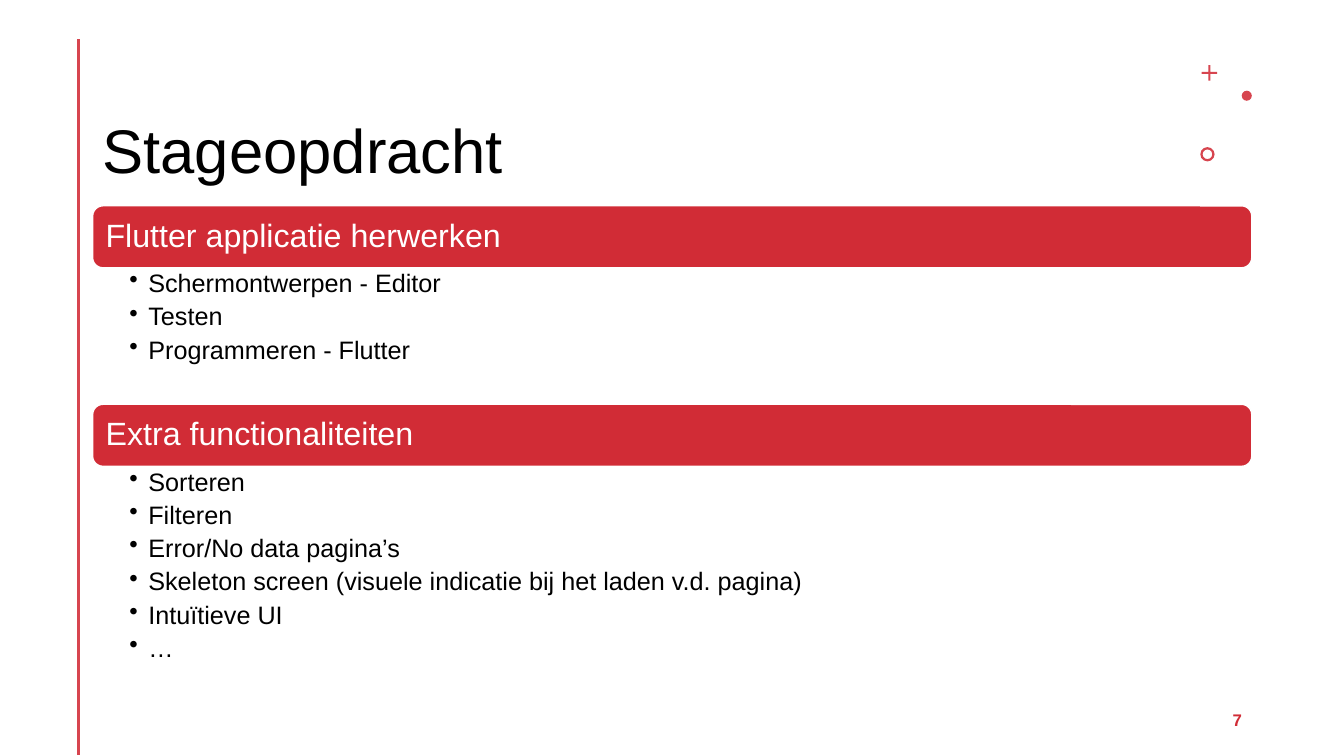
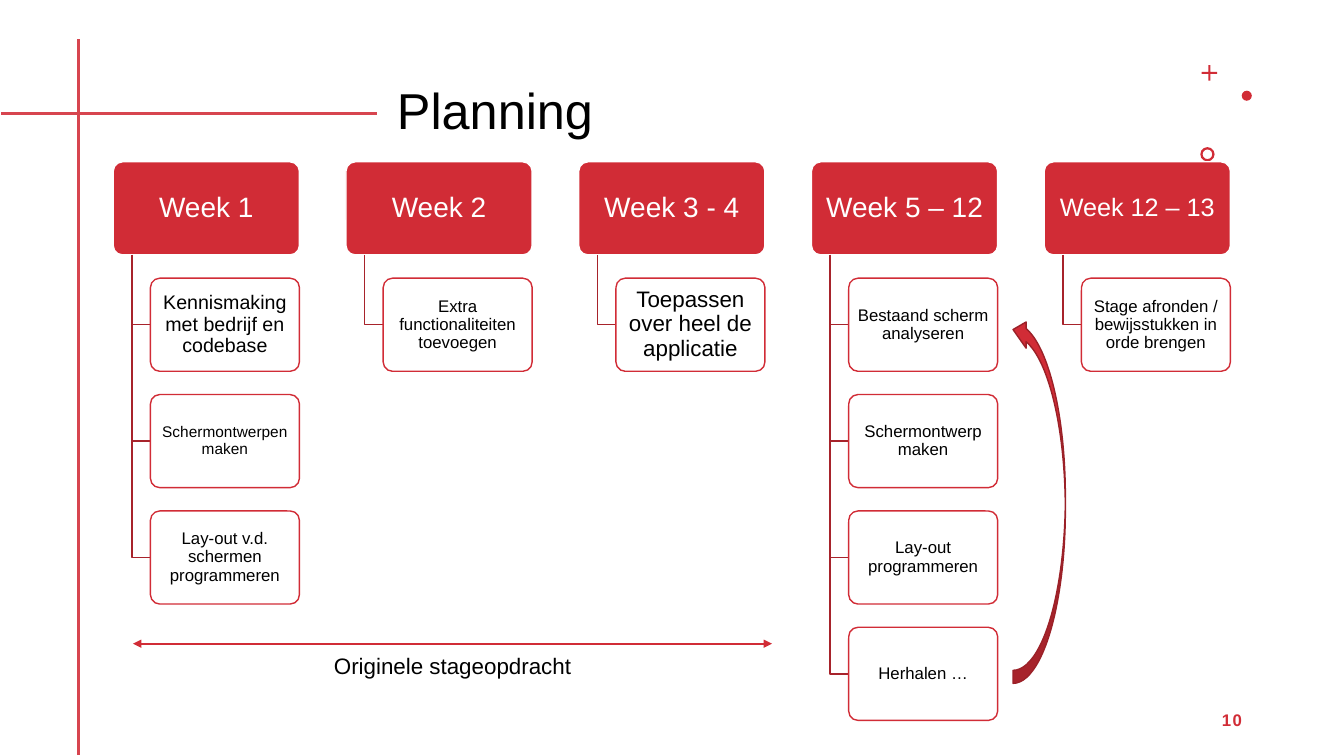
from lxml.etree import SubElement
from pptx import Presentation
from pptx.dml.color import RGBColor
from pptx.enum.shapes import MSO_CONNECTOR, MSO_SHAPE
from pptx.enum.text import MSO_ANCHOR, PP_ALIGN
from pptx.oxml.ns import qn
from pptx.util import Pt

RED = RGBColor(0xD1, 0x2C, 0x36)
SOFT_RED = RGBColor(0xD7, 0x45, 0x4F)
BRANCH_RED = RGBColor(0xA7, 0x23, 0x2B)
EDGE_RED = RGBColor(0x9B, 0x21, 0x28)
WHITE = RGBColor(0xFF, 0xFF, 0xFF)
BLACK = RGBColor(0x00, 0x00, 0x00)
FONT = "Arial"

TOPICS = [
    (147, 97, "Flutter applicatie herwerken",
     ["Schermontwerpen - Editor", "Testen", "Programmeren - Flutter"]),
    (288.8, 150, "Extra functionaliteiten",
     ["Sorteren", "Filteren", "Error/No data pagina’s",
      "Skeleton screen (visuele indicatie bij het laden v.d. pagina)",
      "Intuïtieve UI", "…"]),
]

WEEKS = [
    ("Week 1", 20, [("Kennismaking met bedrijf en codebase", 14),
                    ("Schermontwerpen maken", 11),
                    ("Lay-out v.d. schermen programmeren", 12)]),
    ("Week 2", 20, [("Extra functionaliteiten toevoegen", 12)]),
    ("Week 3 - 4", 20, [("Toepassen over heel de applicatie", 16)]),
    ("Week 5 – 12", 20, [("Bestaand scherm analyseren", 12),
                         ("Schermontwerp maken", 12),
                         ("Lay-out programmeren", 12),
                         ("Herhalen …", 12)]),
    ("Week 12 – 13", 18, [("Stage afronden / bewijsstukken in orde brengen", 12)]),
]


def apply(target, formats):
    """Set each attribute of the target from a dict of format values."""
    for name, value in formats.items():
        setattr(target, name, value)


def write(shape, lines, size, color=BLACK, frame=None, paragraph=None, font=None):
    """Write one paragraph per line with shared formats."""
    text = shape.text_frame
    apply(text, {"word_wrap": True, "vertical_anchor": MSO_ANCHOR.MIDDLE, **(frame or {})})
    text.text = "\n".join(lines)
    for line in text.paragraphs:
        apply(line, {"alignment": PP_ALIGN.LEFT, "line_spacing": 0.9, **(paragraph or {})})
        for run in line.runs:
            apply(run.font, {"name": FONT, "size": Pt(size), **(font or {})})
            run.font.color.rgb = color
    return text


def margins(left, top, right, bottom):
    """Return text frame margins in points as a format dict."""
    return {"margin_left": Pt(left), "margin_top": Pt(top),
            "margin_right": Pt(right), "margin_bottom": Pt(bottom)}


def label(slide, box, lines, size, **formats):
    """Place a text box and write its lines."""
    return write(slide.shapes.add_textbox(*map(Pt, box)), lines, size, **formats)


def solid(slide, kind, box, fill, edge=None, adjust=None):
    """Place a filled preset shape with an optional one-point edge."""
    shape = slide.shapes.add_shape(kind, *map(Pt, box))
    shape.shadow.inherit = False
    shape.fill.solid()
    shape.fill.fore_color.rgb = fill
    if edge is None:
        shape.line.fill.background()
    else:
        shape.line.color.rgb = edge
        shape.line.width = Pt(1)
    if adjust is not None:
        shape.adjustments[0] = adjust
    return shape


def rule(slide, start, end, color, width, arrows=False):
    """Draw a straight line, with arrowheads on both ends if asked."""
    connector = slide.shapes.add_connector(MSO_CONNECTOR.STRAIGHT, *map(Pt, start + end))
    connector.line.color.rgb = color
    connector.line.width = Pt(width)
    properties = connector._element.spPr
    if arrows:
        for tag in ("a:headEnd", "a:tailEnd"):
            SubElement(properties.find(qn("a:ln")), qn(tag), type="triangle")
    SubElement(properties, qn("a:effectLst"))


def base_slide(deck, title, title_box, title_size, number, accent):
    """Add a slide with the spine, title, ornaments and page number."""
    slide = deck.slides.add_slide(deck.slide_layouts[6])
    rule(slide, (56.2, 28), (56.2, 539.5), SOFT_RED, 2)
    label(slide, title_box, [title], title_size)
    solid(slide, MSO_SHAPE.CROSS, (858.4, 46.6, 11, 11), accent, adjust=0.44)
    solid(slide, MSO_SHAPE.OVAL, (887, 64.8, 7.2, 7.2), accent)
    solid(slide, MSO_SHAPE.DONUT, (857.4, 105.1, 10.2, 10.2), accent, adjust=0.16)
    page = label(slide, (678.2, 500.4, 216, 28.8), [number], 12, color=RED,
                 paragraph={"alignment": PP_ALIGN.RIGHT}, font={"bold": True})
    page.paragraphs[0].runs[0].font._element.set("spc", "100")
    return slide


def topic(slide, box, heading, points):
    """Place a heading band with a bulleted list below it."""
    left, top, width, height = box
    band_height = 44.3
    band = solid(slide, MSO_SHAPE.ROUNDED_RECTANGLE, (left, top, width, band_height), RED, WHITE)
    write(band, [heading], 23, WHITE, frame=margins(7.2, 7.2, 7.2, 7.2))
    bullets = label(slide, (left, top + band_height, width, height), points, 18,
                    frame={"vertical_anchor": MSO_ANCHOR.TOP, **margins(26.3, 2.2, 10, 2.2)},
                    paragraph={"space_after": Pt(4.3)})
    for point in bullets.paragraphs:
        properties = point._p.get_or_add_pPr()
        apply_indent = {"marL": Pt(13.5), "indent": -Pt(13.5)}
        for name, value in apply_indent.items():
            properties.set(name, str(int(value)))
        SubElement(properties, qn("a:buChar"), char="•")


def card(slide, box, text, size, fill, edge, color):
    """Place a rounded card with centred text."""
    shape = solid(slide, MSO_SHAPE.ROUNDED_RECTANGLE, box, fill, edge, 0.1)
    write(shape, [text], size, color, frame=margins(2, 1.5, 2, 1.5),
          paragraph={"alignment": PP_ALIGN.CENTER})


def branch(slide, x, top, bottom, reach):
    """Draw an elbow from a week down to one of its tasks."""
    elbow = slide.shapes.build_freeform(Pt(x), Pt(top), scale=1.0)
    elbow.add_line_segments([(Pt(x), Pt(bottom)), (Pt(x + reach), Pt(bottom))], close=False)
    shape = elbow.convert_to_shape()
    shape.shadow.inherit = False
    shape.fill.background()
    shape.line.color.rgb = BRANCH_RED
    shape.line.width = Pt(1)


def week_column(slide, box, week, size, tasks):
    """Place a week card with its tasks hanging below it."""
    left, top, width, height = box
    card(slide, box, week, size, RED, WHITE, WHITE)
    indent = width * 0.2
    for row, (task, task_size) in enumerate(tasks, 1):
        task_top = top + row * height * 1.25
        branch(slide, left + indent / 2, top + height, task_top + height / 2, indent / 2)
        card(slide, (left + indent, task_top, width * 0.8, height),
             task, task_size, WHITE, RED, BLACK)


def assignment_slide(deck):
    """Build the slide about the internship assignment."""
    slide = base_slide(deck, "Stageopdracht", (66.2, 28.8, 774.7, 161.3), 44, "7", SOFT_RED)
    for top, height, heading, points in TOPICS:
        topic(slide, (66.2, top, 828, height), heading, points)


def planning_slide(deck):
    """Build the slide with the weekly planning."""
    slide = base_slide(deck, "Planning", (276.5, 28.8, 563.8, 104.4), 36, "10", RED)
    rule(slide, (0.7, 80.8), (269.3, 80.8), SOFT_RED, 2)
    height = 66.5
    for column, (week, size, tasks) in enumerate(WEEKS):
        left = 80.9 + column * height * 2.5
        week_column(slide, (left, 115.6, height * 2, height), week, size, tasks)
    repeat = solid(slide, MSO_SHAPE.CURVED_LEFT_ARROW, (723.6, 226.1, 37.4, 262.1), RED, EDGE_RED)
    repeat._element.spPr.find(qn("a:xfrm")).set("flipV", "1")
    label(slide, (150.5, 462.2, 345.6, 26.6), ["Originele stageopdracht"], 16,
          frame={"vertical_anchor": MSO_ANCHOR.TOP},
          paragraph={"alignment": PP_ALIGN.CENTER, "line_spacing": 1.0})
    rule(slide, (95, 459.8), (551.5, 459.8), RED, 1.5, arrows=True)


def main():
    """Build and save the presentation."""
    deck = Presentation()
    apply(deck, {"slide_width": Pt(960), "slide_height": Pt(540)})
    assignment_slide(deck)
    planning_slide(deck)
    deck.save("out.pptx")


main()
